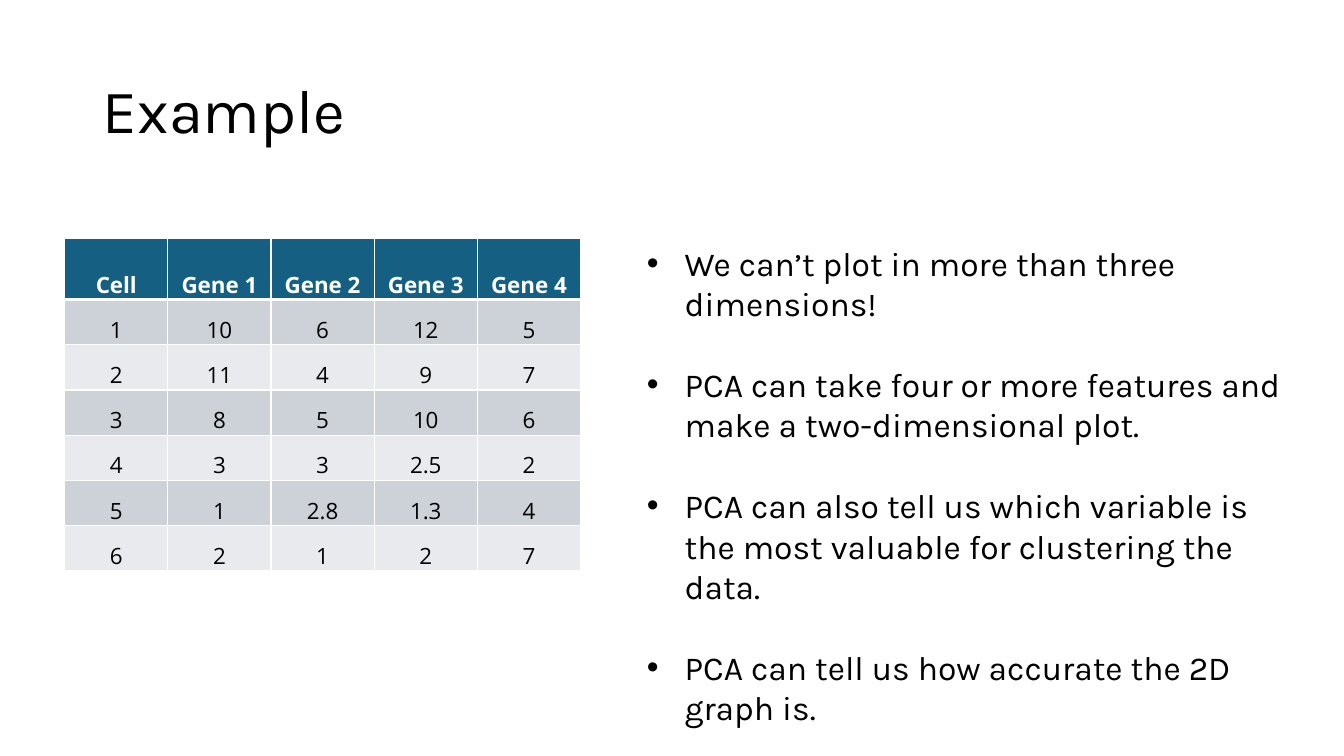
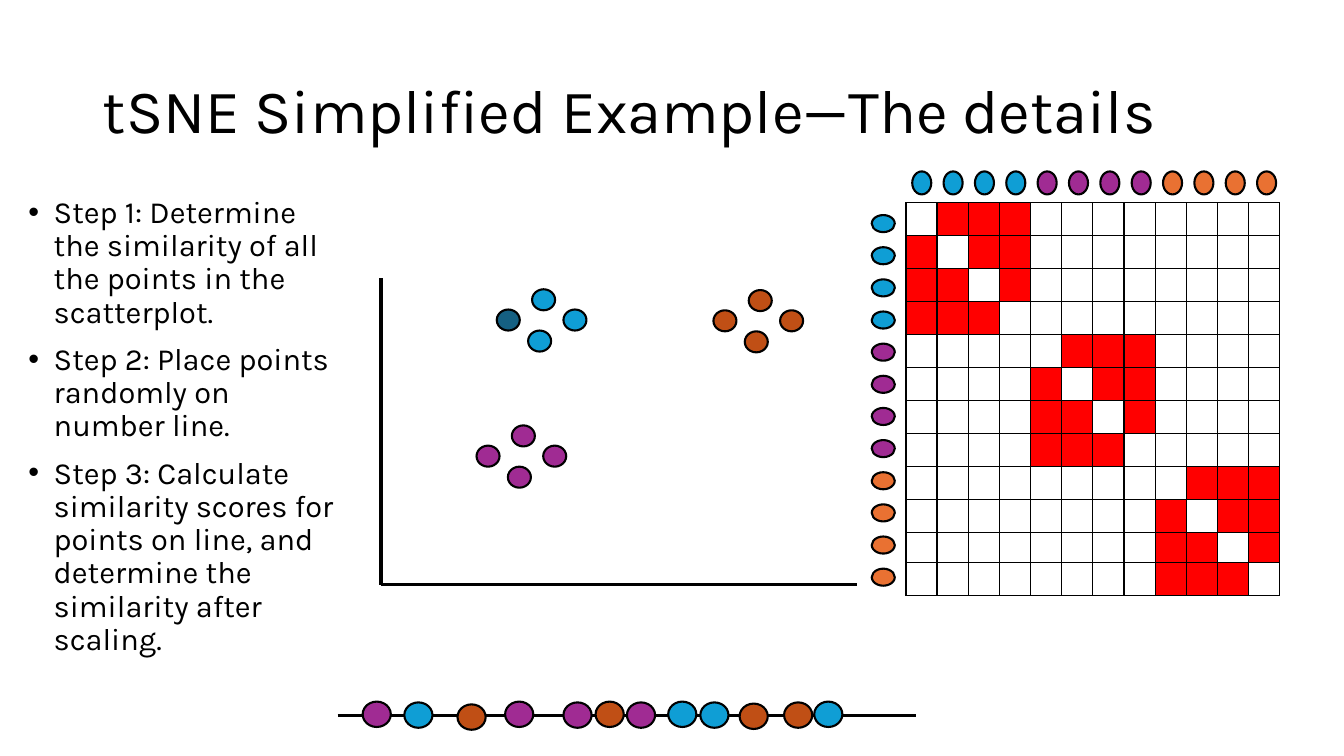
from lxml.etree import SubElement
from pptx import Presentation
from pptx.dml.color import RGBColor
from pptx.enum.shapes import MSO_CONNECTOR, MSO_SHAPE
from pptx.enum.text import MSO_ANCHOR, MSO_AUTO_SIZE, PP_ALIGN
from pptx.oxml import parse_xml
from pptx.oxml.ns import nsdecls, qn
from pptx.util import Cm, Pt

hue = RGBColor.from_string
BLACK, WHITE, RED = "000000", "FFFFFF", "FF0000"
NAVY, BLUE, PLUM = "156082", "0F9ED5", "A02B93"
RUST, CORAL = "C04F15", "E97132"


def dot(slide, left, top, width, height, tone):
    oval = slide.shapes.add_shape(
        MSO_SHAPE.OVAL, Cm(left), Cm(top), Cm(width), Cm(height))
    oval.shadow.inherit = False
    oval.fill.solid()
    oval.fill.fore_color.rgb = hue(tone)
    oval.line.color.rgb = hue(BLACK)
    oval.line.width = Pt(1.5)


def grid(slide, rows, cols, box, fills, tone, rule):
    table = slide.shapes.add_table(rows, cols, *map(Cm, box)).table
    table.horz_banding = False
    for row in range(rows):
        for col in range(cols):
            cell = table.cell(row, col)
            cell.margin_left = cell.margin_right = Cm(0.03)
            cell.margin_top = cell.margin_bottom = 0
            cell.vertical_anchor = MSO_ANCHOR.BOTTOM
            if fills[row][col]:
                cell.fill.solid()
                cell.fill.fore_color.rgb = hue(fills[row][col])
            else:
                cell.fill.background()
            widths = {"L": 1, "R": 1,
                      "T": rule if row == 1 else 1,
                      "B": rule if row == 0 else 1}
            for spot, (side, width) in enumerate(widths.items()):
                cell._tc.get_or_add_tcPr().insert(spot, parse_xml(
                    f'<a:ln{side} {nsdecls("a")} w="{Pt(width)}"><a:solidFill>'
                    f'<a:srgbClr val="{tone}"/></a:solidFill></a:ln{side}>'))
    return table


deck = Presentation()
deck.slide_width, deck.slide_height = Cm(33.87), Cm(19.05)
layout = deck.slide_layouts[1]
head = layout.placeholders[0]
head.left, head.top, head.width, head.height = map(Cm, (2.34, 1.02, 29.21, 3.68))

pages = [
    ("Example", (16.05, 5.99, 16.94, 11.53), 24, 0.95, 1, 0, 29, [
        "We can’t plot in more than three dimensions!",
        "PCA can take four or more features and make a two-dimensional plot.",
        "PCA can also tell us which variable is the most valuable for "
        "clustering the data.",
        "PCA can tell us how accurate the 2D graph is."]),
    ("tSNE Simplified Example—The details", (0.46, 4.83, 8.56, 12.09),
     22, 0.64, 0.9, 10, 0, [
        "Step 1: Determine the similarity of all the points in the scatterplot.",
        "Step 2: Place points randomly on number line.",
        "Step 3: Calculate similarity scores for points on line, and determine "
        "the similarity after scaling."]),
]
slides = []
for name, box, size, indent, pitch, before, after, items in pages:
    slide = deck.slides.add_slide(layout)
    slides.append(slide)
    slide.shapes.title.text = name
    title = slide.shapes.title.text_frame.paragraphs[0]
    title.alignment = PP_ALIGN.LEFT
    title.line_spacing = 0.9
    title.font.size = Pt(44)
    title.font.name = "Karla"
    title.font.color.rgb = hue(BLACK)

    body = slide.placeholders[1]
    body.left, body.top, body.width, body.height = map(Cm, box)
    frame = body.text_frame
    frame.text = "\n".join(items)
    frame.auto_size = MSO_AUTO_SIZE.NONE
    for item in frame.paragraphs:
        item.line_spacing = pitch
        item.space_before, item.space_after = Pt(before), Pt(after)
        item.font.size = Pt(size)
        item.font.name = "Karla"
        item.font.color.rgb = hue(BLACK)
        props = item._p.get_or_add_pPr()
        props.set("marL", str(Cm(indent)))
        props.set("indent", str(-Cm(indent)))

first, second = slides

cells = [
    ["Cell", "Gene 1", "Gene 2", "Gene 3", "Gene 4"],
    ["1", "10", "6", "12", "5"],
    ["2", "11", "4", "9", "7"],
    ["3", "8", "5", "10", "6"],
    ["4", "3", "3", "2.5", "2"],
    ["5", "1", "2.8", "1.3", "4"],
    ["6", "2", "1", "2", "7"],
]
bands = [[NAVY] * 5] + [["CCD2D8"] * 5, ["E8EAED"] * 5] * 3
genes = grid(first, 7, 5, (1.63, 6, 13, 8.4), bands, WHITE, 3)
for row, texts in enumerate(cells):
    genes.rows[row].height = Cm(1.14 if row else 1.55)
    for col, text in enumerate(texts):
        cell = genes.cell(row, col)
        cell.text = text
        para = cell.text_frame.paragraphs[0]
        para.alignment = PP_ALIGN.CENTER
        para.font.size = Pt(16)
        para.font.name = "Open Sans"
        para.font.bold = row == 0
        para.font.color.rgb = hue(BLACK if row else WHITE)

lines = [(9.6, 7.01, 9.6, 14.73), (21.59, 14.73, 9.6, 14.73),
         (8.51, 18.03, 23.09, 18.03)]
for ends in lines:
    line = second.shapes.add_connector(MSO_CONNECTOR.STRAIGHT, *map(Cm, ends))
    line.line.color.rgb = hue(BLACK)
    line.line.width = Pt(2.25)
    SubElement(line._element.spPr, qn("a:effectLst"))

shifts = [(0, 0.51), (0.89, 0), (0.79, 1.04), (1.68, 0.51)]
groups = [(12.52, 7.29, [NAVY, BLUE, BLUE, BLUE]),
          (12.01, 10.72, [PLUM] * 4),
          (17.98, 7.31, [RUST] * 4)]
for left, top, tones in groups:
    for (across, down), tone in zip(shifts, tones):
        dot(second, left + across, top + down, 0.58, 0.53, tone)

blocks = [[RED if row // 4 == col // 4 and row != col else None
           for col in range(12)] for row in range(12)]
scores = grid(second, 12, 12, (22.83, 5.11, 9.42, 9.9), blocks, BLACK, 1)
scores.first_row = False
for index, row in enumerate(scores.rows):
    row.height = Cm(0.76 if index == 10 else 0.83)
    for cell in row.cells:
        cell.text_frame.paragraphs[0].font.size = Pt(8)

for index, tone in enumerate([BLUE] * 4 + [PLUM] * 4 + [CORAL] * 4):
    dot(second, 21.97, 5.42 + 0.81 * index, 0.58, 0.43, tone)
    dot(second, 22.99 + 0.79 * index, 4.32, 0.48, 0.58, tone)

points = [(9.14, 17.68, PLUM), (10.19, 17.7, BLUE), (11.53, 17.75, RUST),
          (12.73, 17.68, PLUM), (14.2, 17.7, PLUM), (15.01, 17.68, RUST),
          (15.8, 17.7, PLUM), (16.84, 17.68, BLUE), (17.65, 17.7, BLUE),
          (18.64, 17.73, RUST), (19.76, 17.7, RUST), (20.52, 17.68, BLUE)]
for left, top, tone in points:
    dot(second, left, top, 0.71, 0.64, tone)

deck.save("out.pptx")
